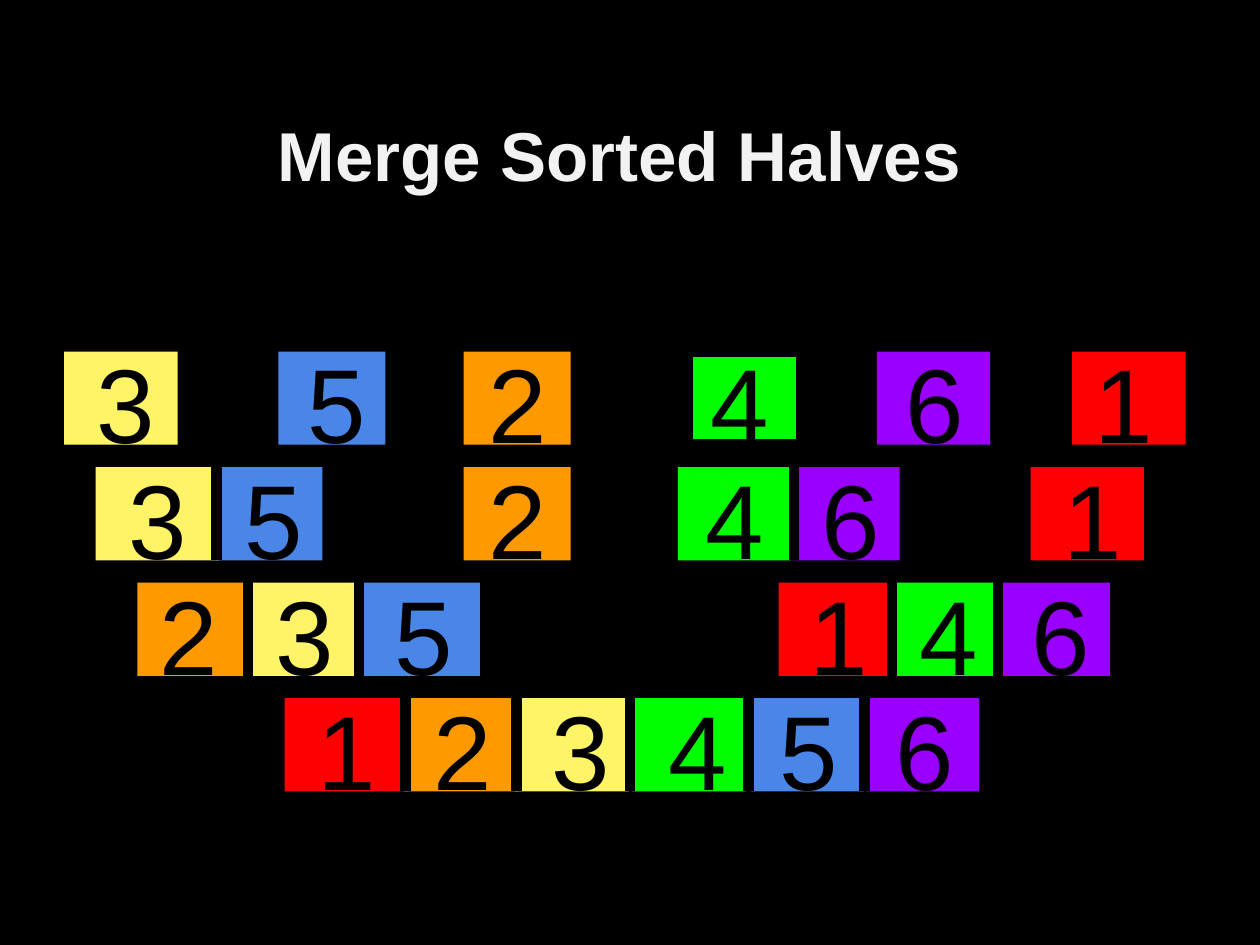
from collections import namedtuple
from dataclasses import dataclass, field

from lxml.etree import SubElement
from pptx import Presentation
from pptx.dml.color import RGBColor
from pptx.enum.shapes import MSO_CONNECTOR, MSO_SHAPE
from pptx.enum.text import MSO_ANCHOR, PP_ALIGN
from pptx.oxml.ns import qn
from pptx.util import Inches, Pt


@dataclass(frozen=True)
class Theme:
    font: str = "Arial"
    background: str = "000000"
    ink: str = "000000"
    title: str = "F2F2F2"
    title_size: float = 39.5
    digit_size: float = 60
    divider_width: float = 6
    tiles: dict = field(default_factory=lambda: {
        1: "FF0000", 2: "FF9900", 3: "FFF367",
        4: "00FF00", 5: "4A86E8", 6: "9900FF"})


THEME = Theme()
Box = namedtuple("Box", "left top width height")
Tile = namedtuple("Tile", "digit left width digit_left divider framed",
                  defaults=(None, False))

WIDTH, HEIGHT = Inches(10), Inches(7.5)
COLUMN = WIDTH / 100
FIRST_ROW, ROW_PITCH, TILE_HEIGHT = Inches(2.79), Inches(0.917), Inches(0.74)
DIGIT_RISE = Inches(0.2)
DIVIDER_RISE = Inches(0.03)

# Lengths are columns, each a hundredth of the slide's width.
MERGE_ROWS = [
    [Tile(3, 5.1, 9, 6.7), Tile(5, 22.1, 8.5, 23.4), Tile(2, 36.8, 8.5, 37.8),
     Tile(4, 54.6, 9, 55.4, framed=True), Tile(6, 69.6, 9, 70.9), Tile(1, 85.1, 9, 85.9)],
    [Tile(3, 7.6, 9.8, 9.2), Tile(5, 17.1, 8.5, 18.4, 17.2), Tile(2, 36.8, 8.5, 37.8),
     Tile(4, 53.8, 9, 55), Tile(6, 62.9, 8.5, 64.2, 63), Tile(1, 81.8, 9, 83.4)],
    [Tile(2, 10.9, 8.5, 11.7), Tile(3, 19.7, 8.5, 20.9, 19.7),
     Tile(5, 28.3, 9.8, 30.3, 28.5), Tile(1, 61.8, 9, 63.3),
     Tile(4, 71, 8, 72, 70.8), Tile(6, 79.6, 8.5, 80.9, 79.2)],
    [Tile(1, 22.6, 9.8, 24.2), Tile(2, 32.1, 9, 33.4, 32.2),
     Tile(3, 40.9, 9, 42.8, 41), Tile(4, 50.2, 9, 52.1, 50),
     Tile(5, 59.6, 9, 60.9, 59.4), Tile(6, 68.7, 9, 70.1, 68.6)],
]


def color(code):
    return RGBColor.from_string(code)


def add_text(page, box, text, size, ink, bold=False):
    frame = page.shapes.add_textbox(*map(round, box)).text_frame
    frame.word_wrap = True
    span = frame.paragraphs[0].add_run()
    span.text = text
    span.font.name, span.font.size, span.font.bold = THEME.font, Pt(size), bold
    span.font.color.rgb = color(ink)
    return frame


def add_rectangle(page, box, fill=None):
    """Add a filled rectangle, or a dark frame when no fill is given."""
    shape = page.shapes.add_shape(MSO_SHAPE.RECTANGLE, *map(round, box))
    shape.shadow.inherit = False
    if fill:
        shape.fill.solid()
        shape.fill.fore_color.rgb = color(fill)
        shape.line.fill.background()
    else:
        shape.fill.background()
        shape.line.color.rgb = color(THEME.ink)
        shape.line.width = Pt(THEME.divider_width)


def add_divider(page, x, top, bottom):
    line = page.shapes.add_connector(
        MSO_CONNECTOR.STRAIGHT, *map(round, (x, top, x, bottom)))
    line.line.color.rgb = color(THEME.ink)
    line.line.width = Pt(THEME.divider_width)
    SubElement(line._element.spPr, qn("a:effectLst"))


def place_title(page, box):
    frame = add_text(page, box, "Merge Sorted Halves", THEME.title_size,
                     THEME.title, bold=True)
    frame.vertical_anchor = MSO_ANCHOR.MIDDLE
    frame.margin_bottom = Inches(0.75)
    frame.paragraphs[0].alignment = PP_ALIGN.CENTER


def place_merge_row(page, box, tiles):
    """Lay the tiles first, then the dividers and digits above them."""
    for tile in tiles:
        area = Box(box.left + tile.left * COLUMN, box.top,
                   tile.width * COLUMN, box.height)
        add_rectangle(page, area, THEME.tiles[tile.digit])
        if tile.framed:
            add_rectangle(page, area)
    for tile in tiles:
        if tile.divider is not None:
            add_divider(page, box.left + tile.divider * COLUMN,
                        box.top - DIVIDER_RISE, box.top + box.height)
        digit_box = Box(box.left + tile.digit_left * COLUMN,
                        box.top - DIGIT_RISE, 6.4 * COLUMN, Inches(0.61))
        frame = add_text(page, digit_box, str(tile.digit),
                         THEME.digit_size, THEME.ink)
        frame.margin_left = frame.margin_right = Inches(0.1)
        frame.margin_top = frame.margin_bottom = Inches(0.1)


def main():
    deck = Presentation()
    deck.slide_width, deck.slide_height = WIDTH, HEIGHT
    page = deck.slides.add_slide(deck.slide_layouts[6])
    page.background.fill.solid()
    page.background.fill.fore_color.rgb = color(THEME.background)

    place_title(page, Box(2.2 * COLUMN, 0.13 * HEIGHT, 93.9 * COLUMN, 0.16 * HEIGHT))
    for index, tiles in enumerate(MERGE_ROWS):
        top = FIRST_ROW + index * ROW_PITCH
        place_merge_row(page, Box(0, top, WIDTH, TILE_HEIGHT), tiles)
    deck.save("out.pptx")


if __name__ == "__main__":
    main()
